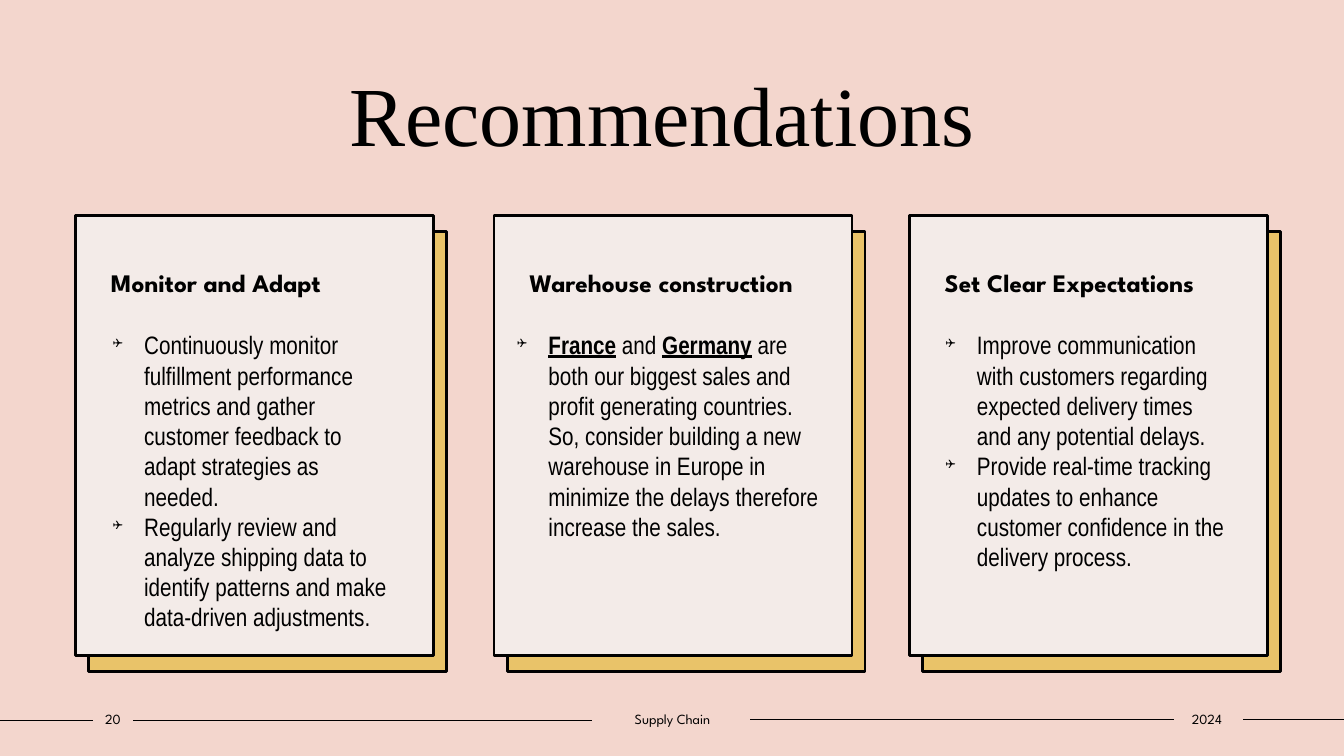
from dataclasses import dataclass

from lxml.etree import SubElement
from pptx import Presentation
from pptx.dml.color import RGBColor
from pptx.enum.shapes import MSO_CONNECTOR as Connector, MSO_SHAPE as Shape
from pptx.enum.text import MSO_ANCHOR as Anchor, MSO_AUTO_SIZE as AutoSize, PP_ALIGN as Align
from pptx.oxml.ns import qn
from pptx.util import Inches, Pt

COLORS = {"page": "F3D6CD", "card": "F3EBE8", "shadow": "E9C369", "ink": "000000"}
HEADING_FONT, BODY_FONT, TITLE_FONT = "League Spartan", "Arial Narrow", "Times New Roman"
CARD_TOP, CARD_WIDTH, CARD_HEIGHT = 2.14, 3.55, 4.36
SHADOW_DX, SHADOW_DY = 0.13, 0.16
LIST_TOP, LIST_INDENT = 3.22, 0.31


@dataclass
class Card:
    left: float
    heading: str
    list_left: float
    list_width: float
    list_height: float
    points: list[list[str]]  # spans of each point; every other one is emphasised


@dataclass
class FooterLabel:
    left: float
    width: float
    text: str


CARDS = [
    Card(0.75, "Monitor and Adapt", 1.02, 3, 3.05, [
        ["Continuously monitor fulfillment performance metrics and gather "
         "customer feedback to adapt strategies as needed."],
        ["Regularly review and analyze shipping data to identify patterns "
         "and make data-driven adjustments."],
    ]),
    Card(4.9, "Warehouse construction", 5.03, 3.3, 3.28, [
        ["", "France", " and ", "Germany",
         " are both our biggest sales and profit generating countries. So, consider "
         "building a new warehouse in Europe in minimize the delays therefore "
         "increase the sales."],
    ]),
    Card(9.02, "Set Clear Expectations", 9.28, 3, 3.05, [
        ["Improve communication with customers regarding expected delivery times "
         "and any potential delays."],
        ["Provide real-time tracking updates to enhance customer confidence in "
         "the delivery process."],
    ]),
]
FOOTER_LABELS = [
    FooterLabel(0.92, 0.4, "20"),
    FooterLabel(5.87, 1.6, "Supply Chain"),
    FooterLabel(11.62, 0.7, "2024"),
]
FOOTER_LINES = [(0, 0.92, 7.15), (1.32, 5.87, 7.15), (7.44, 11.64, 7.14), (12.33, 13.33, 7.14)]


def color(name: str) -> RGBColor:
    return RGBColor.from_string(COLORS[name])


def place(box, left: float, top: float, width: float, height: float) -> None:
    box.left, box.top = Inches(left), Inches(top)
    box.width, box.height = Inches(width), Inches(height)


def set_frame(box, anchor, insets=(0.1, 0.05, 0.1, 0.05)):
    frame = box.text_frame
    frame.word_wrap, frame.auto_size, frame.vertical_anchor = True, AutoSize.NONE, anchor
    (frame.margin_left, frame.margin_top,
     frame.margin_right, frame.margin_bottom) = map(Inches, insets)
    return frame


def add_text(para, text: str, *, font: str, size: float, bold=False, underline=False,
             align=Align.LEFT, spacing=1.0) -> None:
    para.alignment, para.line_spacing, para.space_before = align, spacing, Pt(0)
    span = para.add_run()
    span.text = text
    span.font.name, span.font.size = font, Pt(size)
    span.font.bold, span.font.underline = bold, underline
    span.font.color.rgb = color("ink")


def add_bullet(para) -> None:
    props = para._p.get_or_add_pPr()
    props.set("marL", str(Inches(LIST_INDENT)))
    props.set("indent", str(-Inches(LIST_INDENT)))
    SubElement(props, qn("a:buSzPct"), val="50000")
    SubElement(props, qn("a:buFont"), typeface="Wingdings")
    SubElement(props, qn("a:buChar"), char="❑")


def add_panel(page, left: float, top: float, fill: str):
    panel = page.shapes.add_shape(Shape.RECTANGLE, Inches(left), Inches(top),
                                  Inches(CARD_WIDTH), Inches(CARD_HEIGHT))
    panel.shadow.inherit = False
    panel.fill.solid()
    panel.fill.fore_color.rgb = color(fill)
    panel.line.color.rgb = color("ink")
    panel.line.width = Pt(2)
    return panel


def add_card(page, card: Card, body) -> None:
    add_panel(page, card.left + SHADOW_DX, CARD_TOP + SHADOW_DY, "shadow")
    panel = add_panel(page, card.left, CARD_TOP, "card")
    frame = set_frame(panel, Anchor.TOP, (0.35, 0.55, 0.1, 0.05))
    add_text(frame.paragraphs[0], card.heading, font=HEADING_FONT, size=18,
             bold=True, spacing=0.9)

    # Bring the list in front of its panel
    page.shapes._spTree.append(body._element)
    place(body, card.list_left, LIST_TOP, card.list_width, card.list_height)
    frame = set_frame(body, Anchor.TOP)
    for number, point in enumerate(card.points):
        para = frame.add_paragraph() if number else frame.paragraphs[0]
        add_bullet(para)
        for index, text in enumerate(point):
            if text:
                strong = index % 2 == 1
                add_text(para, text, font=BODY_FONT, size=18, bold=strong, underline=strong)


def add_footer(page) -> None:
    for start, end, y in FOOTER_LINES:
        rule = page.shapes.add_connector(Connector.STRAIGHT, Inches(start), Inches(y),
                                         Inches(end), Inches(y))
        rule.line.color.rgb = color("ink")
        rule.line.width = Pt(1)
        SubElement(rule._element.spPr, qn("a:effectLst"))
    for label in FOOTER_LABELS:
        box = page.shapes.add_textbox(Inches(label.left), Inches(7),
                                      Inches(label.width), Inches(0.27))
        frame = set_frame(box, Anchor.MIDDLE, (0, 0.05, 0, 0.05))
        add_text(frame.paragraphs[0], label.text, font=HEADING_FONT, size=10,
                 align=Align.CENTER)


def main() -> None:
    deck = Presentation()
    deck.slide_width, deck.slide_height = Inches(13.33), Inches(7.5)
    page = deck.slides.add_slide(deck.slide_layouts.get_by_name("Comparison"))
    page.background.fill.solid()
    page.background.fill.fore_color.rgb = color("page")

    # Title
    title, *bodies = page.placeholders
    place(title, 1.25, 0.56, 10.84, 1.11)
    frame = set_frame(title, Anchor.BOTTOM)
    add_text(frame.paragraphs[0], "Recommendations ", font=TITLE_FONT, size=60,
             align=Align.CENTER)

    # Cards with their lists
    for card, body in zip(CARDS, bodies):
        add_card(page, card, body)
    for spare in bodies[len(CARDS):]:
        page.shapes._spTree.remove(spare._element)

    add_footer(page)
    deck.save("out.pptx")


if __name__ == "__main__":
    main()
